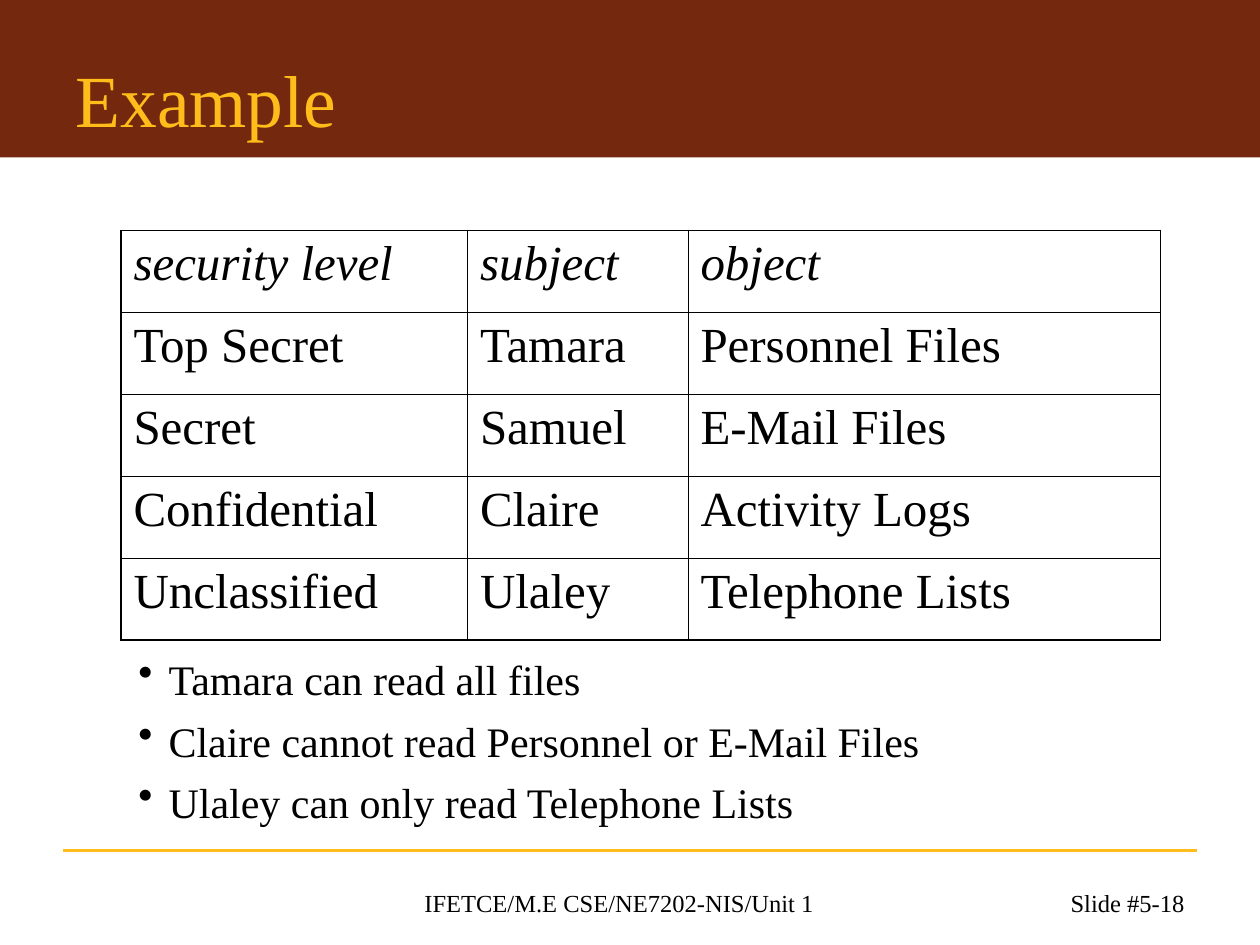
from dataclasses import dataclass

from lxml import etree
from pptx import Presentation
from pptx.dml.color import RGBColor
from pptx.enum.shapes import MSO_CONNECTOR, MSO_SHAPE
from pptx.enum.text import MSO_ANCHOR, PP_ALIGN
from pptx.oxml.ns import qn
from pptx.util import Inches, Pt

RECTANGLE, STRAIGHT = MSO_SHAPE.RECTANGLE, MSO_CONNECTOR.STRAIGHT
MIDDLE, BOTTOM = MSO_ANCHOR.MIDDLE, MSO_ANCHOR.BOTTOM
LEFT, CENTER, RIGHT = PP_ALIGN.LEFT, PP_ALIGN.CENTER, PP_ALIGN.RIGHT


@dataclass(frozen=True)
class Theme:
    font: str = "Times New Roman"
    band: str = "74290E"
    accent: str = "FFBD1B"
    ink: str = "000000"
    title: int = 42
    table: int = 28
    body: int = 24
    footer: int = 14
    outer_border: float = 1.08
    inner_border: float = 0.45


theme = Theme()


def style(paragraph, size, color=theme.ink, italic=False):
    paragraph.font.name = theme.font
    paragraph.font.size = Pt(size)
    paragraph.font.italic = italic
    paragraph.font.color.rgb = RGBColor.from_string(color)


def add_border(cell, side, points):
    line = etree.SubElement(cell._tc.get_or_add_tcPr(), qn(f"a:ln{side}"), w=str(Pt(points)))
    fill = etree.SubElement(line, qn("a:solidFill"))
    etree.SubElement(fill, qn("a:srgbClr"), val=theme.ink)


prs = Presentation()
prs.slide_width, prs.slide_height = Inches(10), Inches(7.5)
W, H = prs.slide_width, prs.slide_height
COL, ROW = W / 40, H / 30
slide = prs.slides.add_slide(prs.slide_layouts[5])
shapes = slide.shapes

band = shapes.add_shape(RECTANGLE, 0, 0, W, int(5 * ROW))
band.shadow.inherit = False
band.fill.solid()
band.fill.fore_color.rgb = RGBColor.from_string(theme.band)
band.line.fill.background()

rule = shapes.add_connector(STRAIGHT, int(2 * COL), int(27 * ROW), int(38 * COL), int(27 * ROW))
rule.line.color.rgb = RGBColor.from_string(theme.accent)
rule.line.width = Pt(1.5)
etree.SubElement(rule._element.spPr, qn("a:effectLst"))

title = shapes.title
title.left, title.top = int(2 * COL), int(1.2 * ROW)
title.width, title.height = int(36 * COL), int(3.8 * ROW)
title.text_frame.text = "Example"
title.text_frame.vertical_anchor = MIDDLE
heading = title.text_frame.paragraphs[0]
heading.alignment = LEFT
style(heading, theme.title, theme.accent)
shapes._spTree.remove(title._element)
shapes._spTree.append(title._element)

footers = [
    ("IFETCE/M.E CSE/NE7202-NIS/Unit 1", 13, 13.32, CENTER),
    ("Slide #5-18", 28.68, 9.32, RIGHT),
]
for text, left, width, alignment in footers:
    footer = shapes.add_textbox(int(left * COL), int(27.32 * ROW), int(width * COL), int(2 * ROW))
    frame = footer.text_frame
    frame.word_wrap = True
    frame.vertical_anchor = BOTTOM
    frame.text = text
    frame.paragraphs[0].alignment = alignment
    style(frame.paragraphs[0], theme.footer)

clearances = [
    ("security level", "subject", "object"),
    ("Top Secret", "Tamara", "Personnel Files"),
    ("Secret", "Samuel", "E-Mail Files"),
    ("Confidential", "Claire", "Activity Logs"),
    ("Unclassified", "Ulaley", "Telephone Lists"),
]
column_spans = (11, 7, 15)
row_span = 2.6
last_row, last_column = len(clearances) - 1, len(column_spans) - 1
table = shapes.add_table(
    len(clearances), len(column_spans), int(3.84 * COL), int(7.32 * ROW),
    int(sum(column_spans) * COL), int(len(clearances) * row_span * ROW),
).table
table.first_row = table.horz_banding = False
for column, span in zip(table.columns, column_spans):
    column.width = int(span * COL)
for r, entries in enumerate(clearances):
    table.rows[r].height = int(row_span * ROW)
    for c, entry in enumerate(entries):
        cell = table.cell(r, c)
        cell.text = entry
        style(cell.text_frame.paragraphs[0], theme.table, italic=r == 0)
        edges = {"L": c == 0, "R": c == last_column, "T": r == 0, "B": r == last_row}
        for side, is_outer in edges.items():
            add_border(cell, side, theme.outer_border if is_outer else theme.inner_border)
        cell.fill.background()

access_rules = [
    "Tamara can read all files",
    "Claire cannot read Personnel or E-Mail Files",
    "Ulaley can only read Telephone Lists",
]
notes = shapes.add_textbox(int(4 * COL), int(21 * ROW), int(32.92 * COL), int(5.44 * ROW))
notes.text_frame.word_wrap = True
notes.text_frame.text = "\n".join(access_rules)
for i, paragraph in enumerate(notes.text_frame.paragraphs):
    paragraph.line_spacing = 0.7
    paragraph.space_before = Pt(15 if i else 0)
    properties = paragraph._p.get_or_add_pPr()
    properties.set("marL", str(Inches(0.24)))
    properties.set("indent", str(-Inches(0.24)))
    etree.SubElement(properties, qn("a:buChar"), char="•")
    style(paragraph, theme.body)

prs.save("out.pptx")
